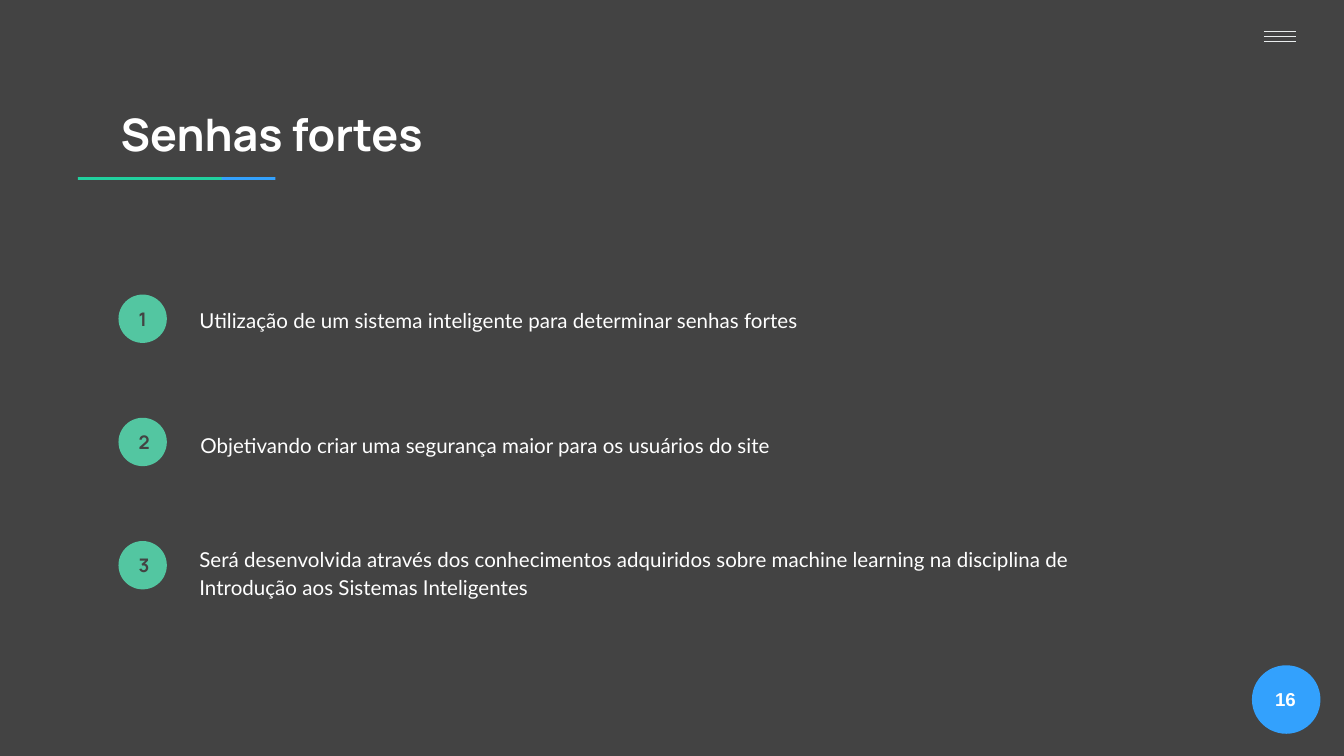
from dataclasses import dataclass
from typing import Optional

from lxml.etree import SubElement
from pptx import Presentation
from pptx.dml.color import RGBColor
from pptx.enum.shapes import MSO_CONNECTOR, MSO_SHAPE
from pptx.enum.text import MSO_ANCHOR, MSO_AUTO_SIZE, PP_ALIGN
from pptx.oxml.ns import qn
from pptx.util import Inches, Pt

UNIT = 0.1  # one grid column or row, in inches
COLUMNS, ROWS = 100, 56.25


@dataclass(frozen=True)
class Theme:
    background: str = "434343"
    green: str = "53C6A1"
    bright_green: str = "21D19F"
    blue: str = "33A1FD"
    menu: str = "E9EDEE"
    white: str = "FFFFFF"
    heading_font: str = "Manrope"
    body_font: str = "Lato"
    page_font: str = "Arial"
    title_size: int = 24
    body_size: int = 11
    badge_size: int = 10


@dataclass(frozen=True)
class Box:
    """Position and size in grid units."""
    column: float
    row: float
    width: float
    height: float

    def lengths(self) -> list:
        return [grid(v) for v in (self.column, self.row, self.width, self.height)]


@dataclass(frozen=True)
class Style:
    font: str
    size: int
    color: str
    bold: bool = True


@dataclass(frozen=True)
class Point:
    text: str
    box: Box


THEME = Theme()


def grid(units: float) -> int:
    return Inches(round(units * UNIT, 4))


def rgb(value: str) -> RGBColor:
    return RGBColor.from_string(value)


def add_run(paragraph, text: str, style: Style) -> None:
    run = paragraph.add_run()
    run.text = text
    run.font.name = style.font
    run.font.size = Pt(style.size)
    run.font.bold = style.bold
    run.font.color.rgb = rgb(style.color)


def set_insets(frame) -> None:
    frame.word_wrap = True
    frame.margin_left = frame.margin_right = grid(1)
    frame.margin_top = frame.margin_bottom = grid(1)


def draw_shape(slide, kind, box: Box, fill: str):
    shape = slide.shapes.add_shape(kind, *box.lengths())
    shape.shadow.inherit = False
    shape.fill.solid()
    shape.fill.fore_color.rgb = rgb(fill)
    shape.line.fill.background()
    return shape


def draw_badge(slide, box: Box, fill: str, label: str, style: Style, align) -> None:
    frame = draw_shape(slide, MSO_SHAPE.OVAL, box, fill).text_frame
    set_insets(frame)
    frame.vertical_anchor = MSO_ANCHOR.MIDDLE
    frame.paragraphs[0].alignment = align
    add_run(frame.paragraphs[0], label, style)


def draw_text(slide, box: Box, text: str, style: Style, indent: Optional[float] = None) -> None:
    frame = slide.shapes.add_textbox(*box.lengths()).text_frame
    set_insets(frame)
    paragraph = frame.paragraphs[0]
    if indent is not None:
        frame.auto_size = MSO_AUTO_SIZE.SHAPE_TO_FIT_TEXT
        properties = paragraph._p.get_or_add_pPr()
        properties.set("marL", str(grid(indent)))
        properties.set("indent", "0")
        paragraph.line_spacing = 1.15
        paragraph.space_after = Pt(16)
    add_run(paragraph, text, style)


def draw_menu_line(slide, row: float) -> None:
    left, right = grid(94.05), grid(96.45)
    line = slide.shapes.add_connector(
        MSO_CONNECTOR.STRAIGHT, left, grid(row), right, grid(row))
    line.line.color.rgb = rgb(THEME.menu)
    line.line.width = Pt(0.75)
    SubElement(line._element.spPr, qn("a:effectLst"))


def main() -> None:
    deck = Presentation()
    deck.slide_width, deck.slide_height = grid(COLUMNS), grid(ROWS)
    slide = deck.slides.add_slide(deck.slide_layouts[6])
    slide.background.fill.solid()
    slide.background.fill.fore_color.rgb = rgb(THEME.background)

    # Two-colour rule under the title, green over blue
    for column, color in ((9.8, THEME.blue), (5.8, THEME.bright_green)):
        draw_shape(slide, MSO_SHAPE.RECTANGLE, Box(column, 13.18, 10.7, 0.2), color)

    # Menu icon
    draw_shape(slide, MSO_SHAPE.RECTANGLE, Box(90.6, 0, 9.4, 5), THEME.background)
    for step in range(3):
        draw_menu_line(slide, 2.35 + 0.37 * step)

    # Title
    draw_text(slide, Box(8, 6.9, 84.1, 5.9), "Senhas fortes",
              Style(THEME.heading_font, THEME.title_size, THEME.white))

    # Numbered points
    points = (
        Point("Utilização de um sistema inteligente para determinar senhas fortes",
              Box(8.85, 21.65, 78.2, 3.9)),
        Point("Objetivando criar uma segurança maior para os usuários do site",
              Box(8.92, 30.95, 78.2, 3.9)),
        Point("Será desenvolvida através dos conhecimentos adquiridos sobre machine "
              "learning na disciplina de Introdução aos Sistemas Inteligentes",
              Box(8.85, 39.43, 78.2, 6)),
    )
    number_style = Style(THEME.heading_font, THEME.badge_size, THEME.background)
    body_style = Style(THEME.body_font, THEME.body_size, THEME.white, bold=False)
    for index, point in enumerate(points):
        draw_badge(slide, Box(8.82, 21.92 + 9.17 * index, 3.6, 3.6), THEME.green,
                   str(index + 1), number_style, PP_ALIGN.CENTER)
        draw_text(slide, point.box, point.text, body_style, indent=5)

    # Page number
    draw_badge(slide, Box(93.15, 49.5, 5.1, 5.1), THEME.blue, "16",
               Style(THEME.page_font, THEME.badge_size, THEME.white), PP_ALIGN.LEFT)

    deck.save("out.pptx")


if __name__ == "__main__":
    main()
